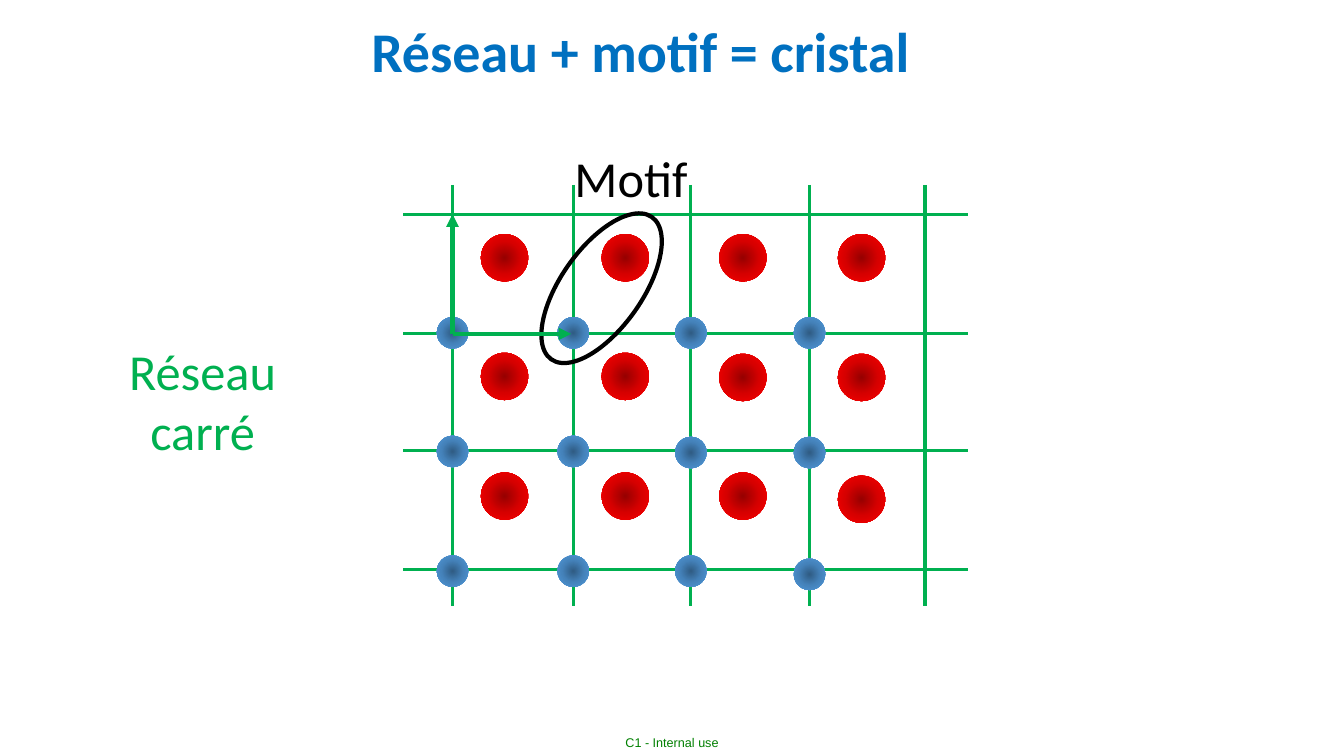
from dataclasses import dataclass

import pptx
import pptx.dml.color
import pptx.enum.shapes
import pptx.enum.text
import pptx.oxml.ns
import pptx.util
from lxml import etree

PX = 9525  # EMU per px, 96 px to the inch
qn = pptx.oxml.ns.qn


@dataclass(frozen=True)
class Theme:
    title: str = "0070C0"
    lattice: str = "00B050"
    ink: str = "000000"
    footer: str = "008000"
    font: str = "Calibri"
    footer_font: str = "Arial"
    title_size: int = 40
    label_size: int = 36
    footer_size: int = 9
    grid_line: float = 2.25
    bold_line: float = 3


@dataclass(frozen=True)
class Box:
    left: int
    top: int
    width: int
    height: int

    def emu(self) -> tuple[int, ...]:
        return tuple(v * PX for v in (self.left, self.top, self.width, self.height))


@dataclass(frozen=True)
class Atom:
    """A ball of the motif, offset from its lattice node, shaded from the centre out."""
    dx: int
    dy: int
    diameter: int
    shades: tuple[str, str, str]


@dataclass(frozen=True)
class Line:
    x1: int
    y1: int
    x2: int
    y2: int
    arrow: bool = False


THEME = Theme()
COLUMNS = (431, 546, 658, 771, 881)
ROWS = (204, 318, 429, 542)
GRID = [Line(384, y, 922, y) for y in ROWS] + [Line(x, 176, x, 577) for x in COLUMNS]
BASIS = [Line(431, 318, 544, 318, True), Line(431, 318, 431, 204, True)]
MOTIF = (
    Atom(-15, -15, 30, ("305C84", "4583BB", "529BDE")),
    Atom(27, -94, 45, ("970000", "D70000", "FF0000")),
)
# Height of each motif, one row of the crystal after another
MOTIF_ROWS = ((317, 317, 317, 317), (430, 430, 431, 431), (544, 544, 544, 547))


def rgb(code: str) -> pptx.dml.color.RGBColor:
    return pptx.dml.color.RGBColor.from_string(code)


def write(shape, text: str, *, size: int, color: str, font: str = THEME.font,
          bold: bool = False, inset: int | None = None,
          anchor=pptx.enum.text.MSO_ANCHOR.TOP) -> None:
    frame = shape.text_frame
    frame.word_wrap = True
    frame.auto_size = pptx.enum.text.MSO_AUTO_SIZE.NONE
    frame.vertical_anchor = anchor
    if inset is not None:
        frame.margin_left = frame.margin_right = inset * PX
        frame.margin_top = frame.margin_bottom = inset * PX
    paragraph = frame.paragraphs[0]
    paragraph.alignment = pptx.enum.text.PP_ALIGN.CENTER
    run = paragraph.add_run()
    run.text = text
    run.font.name = font
    run.font.size = pptx.util.Pt(size)
    run.font.bold = bold
    run.font.color.rgb = rgb(color)


def add_label(slide, box: Box, text: str, **style) -> None:
    write(slide.shapes.add_textbox(*box.emu()), text, **style)


def draw_line(slide, line: Line, width: float) -> None:
    connector = slide.shapes.add_connector(
        pptx.enum.shapes.MSO_CONNECTOR.STRAIGHT,
        *(v * PX for v in (line.x1, line.y1, line.x2, line.y2)))
    connector.line.color.rgb = rgb(THEME.lattice)
    connector.line.width = pptx.util.Pt(width)
    properties = connector.element.spPr
    if line.arrow:
        etree.SubElement(properties.find(qn("a:ln")), qn("a:tailEnd"), type="triangle")
    etree.SubElement(properties, qn("a:effectLst"))


def add_ellipse(shapes, box: Box):
    ellipse = shapes.add_shape(pptx.enum.shapes.MSO_SHAPE.OVAL, *box.emu())
    ellipse.shadow.inherit = False
    return ellipse


def shade_radially(shape, shades: tuple[str, str, str]) -> None:
    shape.fill.gradient()
    gradient = shape.element.spPr.find(qn("a:gradFill"))
    for child in list(gradient):
        gradient.remove(child)
    stops = etree.SubElement(gradient, qn("a:gsLst"))
    for position, shade in zip((0, 50000, 100000), shades):
        stop = etree.SubElement(stops, qn("a:gs"), pos=str(position))
        etree.SubElement(stop, qn("a:srgbClr"), val=shade)
    circle = etree.SubElement(gradient, qn("a:path"))
    circle.set("path", "circle")
    etree.SubElement(circle, qn("a:fillToRect"), l="50000", t="50000", r="50000", b="50000")


def draw_motif(slide, x: int, y: int) -> None:
    group = slide.shapes.add_group_shape()
    for atom in MOTIF:
        ball = add_ellipse(group.shapes, Box(x + atom.dx, y + atom.dy,
                                             atom.diameter, atom.diameter))
        shade_radially(ball, atom.shades)
        ball.line.fill.background()


def circle_motif(slide) -> None:
    outline = add_ellipse(slide.shapes, Box(490, 236, 166, 77))
    outline.rotation = 305.3
    outline.fill.background()
    outline.line.color.rgb = rgb(THEME.ink)
    outline.line.width = pptx.util.Pt(THEME.bold_line)


def main() -> None:
    deck = pptx.Presentation()
    deck.slide_width, deck.slide_height = 1280 * PX, 720 * PX
    slide = deck.slides.add_slide(deck.slide_layouts.get_by_name("Title Only"))

    title = slide.shapes.title
    title.left, title.top, title.width, title.height = Box(11, 11, 1198, 74).emu()
    write(title, "Réseau + motif = cristal", size=THEME.title_size,
          color=THEME.title, bold=True)
    add_label(slide, Box(580, 695, 120, 25), "C1 - Internal use", size=THEME.footer_size,
              color=THEME.footer, font=THEME.footer_font, inset=0,
              anchor=pptx.enum.text.MSO_ANCHOR.MIDDLE)

    for line in GRID:
        draw_line(slide, line, THEME.grid_line)
    add_label(slide, Box(503, 135, 196, 68), "Motif", size=THEME.label_size, color=THEME.ink)
    for heights in MOTIF_ROWS:
        for x, y in zip(COLUMNS, heights):
            draw_motif(slide, x, y)
    circle_motif(slide)
    add_label(slide, Box(95, 319, 196, 126), "Réseau carré", size=THEME.label_size,
              color=THEME.lattice)
    for vector in BASIS:
        draw_line(slide, vector, THEME.bold_line)

    deck.save("out.pptx")


if __name__ == "__main__":
    main()
